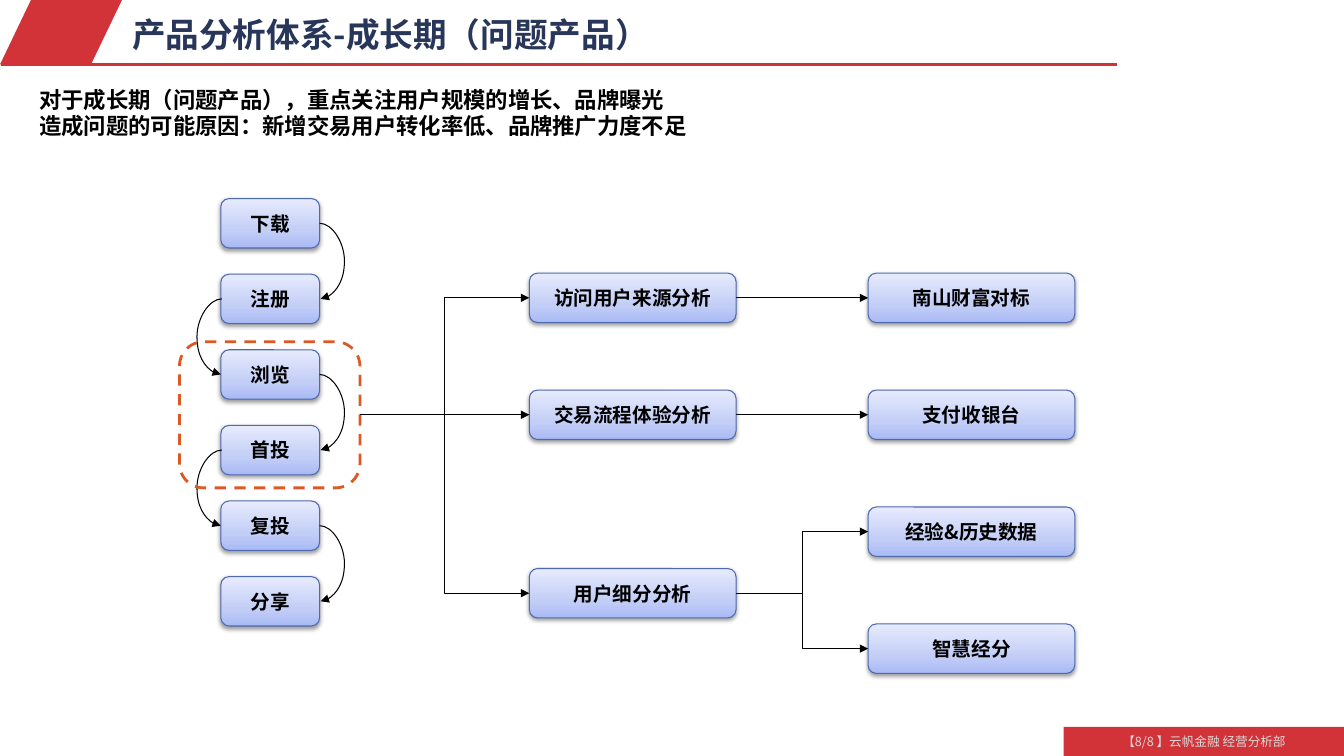
from dataclasses import dataclass

from pptx import Presentation
from pptx.dml.color import RGBColor
from pptx.enum.dml import MSO_LINE
from pptx.enum.shapes import MSO_CONNECTOR, MSO_SHAPE
from pptx.enum.text import MSO_ANCHOR, MSO_AUTO_SIZE, PP_ALIGN
from pptx.oxml import parse_xml
from pptx.oxml.ns import nsdecls, qn
from pptx.util import Inches, Pt


@dataclass(frozen=True)
class Theme:
    font: str = "Noto Sans CJK SC"
    red: str = "D13338"
    navy: str = "283659"
    black: str = "000000"
    pale: str = "D9D9D9"
    orange: str = "DC5924"
    box_line: str = "4E6AAE"
    box_stops: tuple = ((0, "A9B9F6"), (35, "C3CEF7"), (100, "E7EBFD"))
    title_size: float = 24
    lead_size: float = 16
    box_size: float = 14
    footer_size: float = 9


def apply(target, values):
    for name, value in values.items():
        setattr(target, name, value)


class SlideBuilder:
    def __init__(self, page, theme):
        self.page = page
        self.shapes = page.shapes
        self.theme = theme

    def set_text(self, holder, lines, size, color, bold=True,
                 align=PP_ALIGN.CENTER, anchor=MSO_ANCHOR.MIDDLE, inset=0.05):
        frame = holder.text_frame
        margin = Inches(inset)
        apply(frame, {
            "word_wrap": True, "auto_size": MSO_AUTO_SIZE.NONE,
            "vertical_anchor": anchor,
            "margin_left": margin, "margin_right": margin,
            "margin_top": margin, "margin_bottom": margin,
        })
        for index, line in enumerate(lines):
            para = frame.add_paragraph() if index else frame.paragraphs[0]
            para.alignment = align
            span = para.add_run()
            span.text = line
            apply(span.font, {"name": self.theme.font, "size": Pt(size), "bold": bold})
            span.font.color.rgb = RGBColor.from_string(color)
            span.font._element.find(qn("a:latin")).addnext(
                parse_xml(f'<a:ea {nsdecls("a")} typeface="{self.theme.font}"/>'))

    def stroke(self, line, color, width):
        line.color.rgb = RGBColor.from_string(color)
        line.width = Pt(width)

    def title(self, text, left, top, width, height):
        holder = self.shapes.title
        apply(holder, {"left": Inches(left), "top": Inches(top),
                       "width": Inches(width), "height": Inches(height)})
        self.set_text(holder, [text], self.theme.title_size, self.theme.navy,
                      align=PP_ALIGN.LEFT, inset=0)

    def lead(self, lines, *place):
        holder = self.shapes.add_textbox(*map(Inches, place))
        self.set_text(holder, lines, self.theme.lead_size, self.theme.black,
                      align=PP_ALIGN.LEFT, anchor=MSO_ANCHOR.TOP, inset=0)

    def shape(self, kind, place, fill=None):
        shape = self.shapes.add_shape(kind, *map(Inches, place))
        shape.shadow.inherit = False
        shape.line.fill.background()
        if fill:
            shape.fill.solid()
            shape.fill.fore_color.rgb = RGBColor.from_string(fill)
        else:
            shape.fill.background()
        return shape

    def box(self, text, *place):
        box = self.shape(MSO_SHAPE.ROUNDED_RECTANGLE, place)
        self.stroke(box.line, self.theme.box_line, 0.75)
        box.fill.gradient()
        box.fill.gradient_angle = 90
        properties = box._element.spPr
        stops = properties.find(qn("a:gradFill")).find(qn("a:gsLst"))
        for stop in list(stops):
            stops.remove(stop)
        for percent, color in self.theme.box_stops:
            stops.append(parse_xml(
                f'<a:gs {nsdecls("a")} pos="{percent * 1000}"><a:srgbClr val="{color}"/></a:gs>'))
        properties.find(qn("a:effectLst")).append(parse_xml(
            f'<a:outerShdw {nsdecls("a")} blurRad="{Pt(3.1)}" dist="{Pt(1.6)}" dir="5400000"'
            f' rotWithShape="0"><a:srgbClr val="{self.theme.black}"><a:alpha val="38000"/>'
            '</a:srgbClr></a:outerShdw>'))
        self.set_text(box, [text], self.theme.box_size, self.theme.black)
        return box

    def dashed_frame(self, *place):
        frame = self.shape(MSO_SHAPE.ROUNDED_RECTANGLE, place)
        self.stroke(frame.line, self.theme.orange, 2)
        frame.line.dash_style = MSO_LINE.DASH
        return frame

    def line(self, kind, points, color, width, arrow=False):
        connector = self.shapes.add_connector(kind, *points)
        self.stroke(connector.line, color, width)
        connector._element.spPr.append(parse_xml(f'<a:effectLst {nsdecls("a")}/>'))
        if arrow:
            connector._element.spPr.find(qn("a:ln")).append(
                parse_xml(f'<a:tailEnd {nsdecls("a")} type="triangle"/>'))
        return connector

    def arrow(self, source, target, kind=MSO_CONNECTOR.ELBOW):
        points = (source.left + source.width, source.top + source.height // 2,
                  target.left, target.top + target.height // 2)
        connector = self.line(kind, points, self.theme.black, 0.75, arrow=True)
        connector.begin_connect(source, 3)
        connector.end_connect(target, 1)

    def curve(self, source, target, on_right):
        """Arc bulging 0.25 inch out from the shared side of two stacked boxes."""
        step = Inches(0.01)
        side = source.left + source.width if on_right else source.left
        start, end = (side, side + step) if on_right else (side + step, side)
        points = (start, source.top + source.height // 2,
                  end, target.top + target.height // 2)
        connector = self.line(MSO_CONNECTOR.CURVE, points, self.theme.black, 0.75, arrow=True)
        geometry = connector._element.spPr.find(qn("a:prstGeom"))
        geometry.find(qn("a:avLst")).append(
            parse_xml(f'<a:gd {nsdecls("a")} name="adj1" fmla="val 2500000"/>'))


def main():
    deck = Presentation()
    deck.slide_width, deck.slide_height = Inches(13.33), Inches(7.5)
    theme = Theme()
    slide = SlideBuilder(deck.slides.add_slide(deck.slide_layouts[5]), theme)

    # Header and footer
    slide.line(MSO_CONNECTOR.STRAIGHT, map(Inches, (0.01, 0.64, 11.08, 0.64)), theme.red, 1.5)
    slant = slide.shape(MSO_SHAPE.PARALLELOGRAM, (0, 0, 1.21, 0.64), theme.red)
    slant.adjustments[0] = 0.48
    footer = slide.shape(MSO_SHAPE.RECTANGLE, (10.55, 7.21, 2.78, 0.29), theme.red)
    slide.set_text(footer, ["【8/8 】云帆金融 经营分析部"], theme.footer_size, theme.pale, bold=False)
    slide.title("产品分析体系-成长期（问题产品）", 1.31, 0.14, 9.34, 0.4)
    slide.lead(["对于成长期（问题产品），重点关注用户规模的增长、品牌曝光",
                "造成问题的可能原因：新增交易用户转化率低、品牌推广力度不足"],
               0.39, 0.85, 10.27, 0.54)

    # User funnel, arcs alternating right and left
    box_height = 0.49
    stages = [slide.box(name, 2.19, 1.97 + 0.75 * row, 0.98, box_height)
              for row, name in enumerate(["下载", "注册", "浏览", "首投", "复投", "分享"])]
    for row, (stage, following) in enumerate(zip(stages, stages[1:])):
        slide.curve(stage, following, on_right=row % 2 == 0)
    focus = slide.dashed_frame(1.78, 3.39, 1.79, 1.45)

    # Analyses and their outputs
    wide, first_top, pitch = 2.05, 2.71, 1.16
    analyses = [slide.box(name, 5.25, top, wide, box_height) for name, top in (
        ("访问用户来源分析", first_top),
        ("交易流程体验分析", first_top + pitch),
        ("用户细分分析", 5.64))]
    outputs = [slide.box(name, 8.61, first_top + pitch * row, wide, box_height)
               for row, name in enumerate(["南山财富对标", "支付收银台", "经验&历史数据", "智慧经分"])]

    # Arrows between the columns
    for analysis in analyses:
        slide.arrow(focus, analysis)
    for analysis, output in zip(analyses[:2], outputs):
        slide.arrow(analysis, output, MSO_CONNECTOR.STRAIGHT)
    for output in outputs[2:]:
        slide.arrow(analyses[2], output)

    deck.save("out.pptx")


if __name__ == "__main__":
    main()
